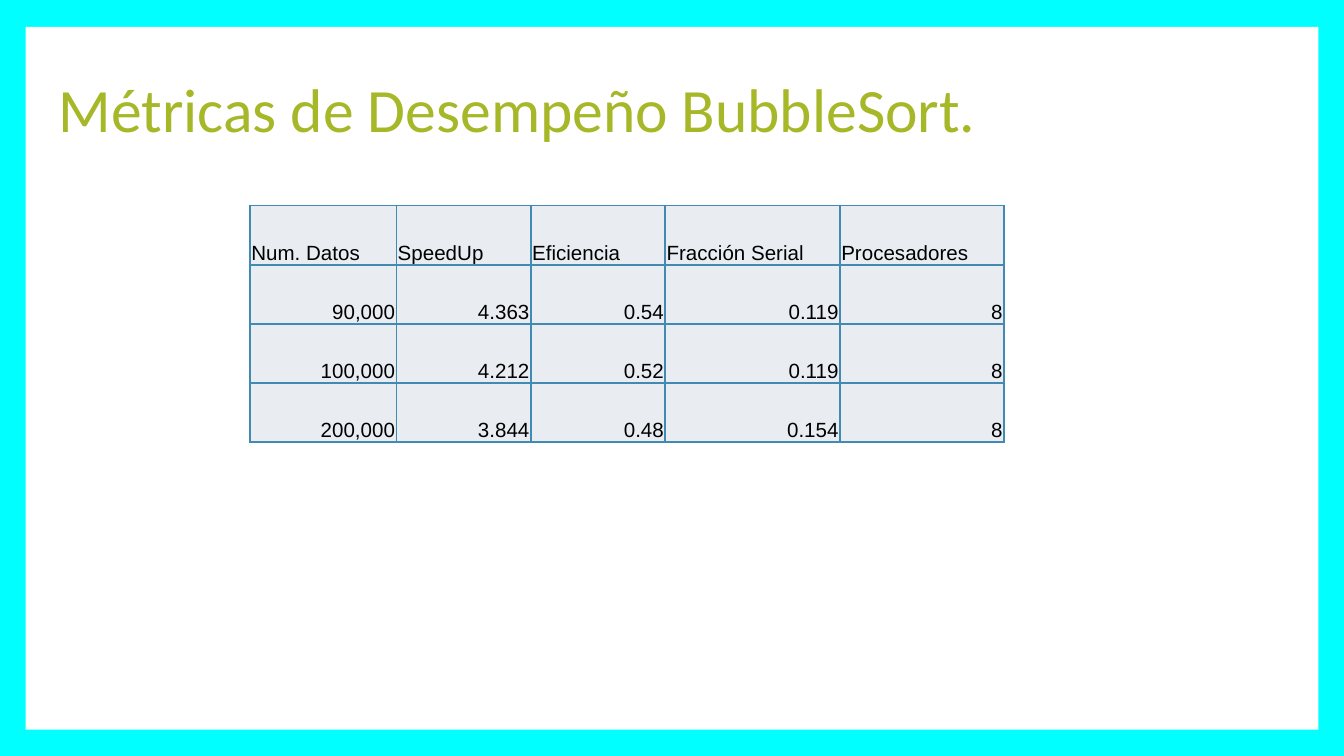
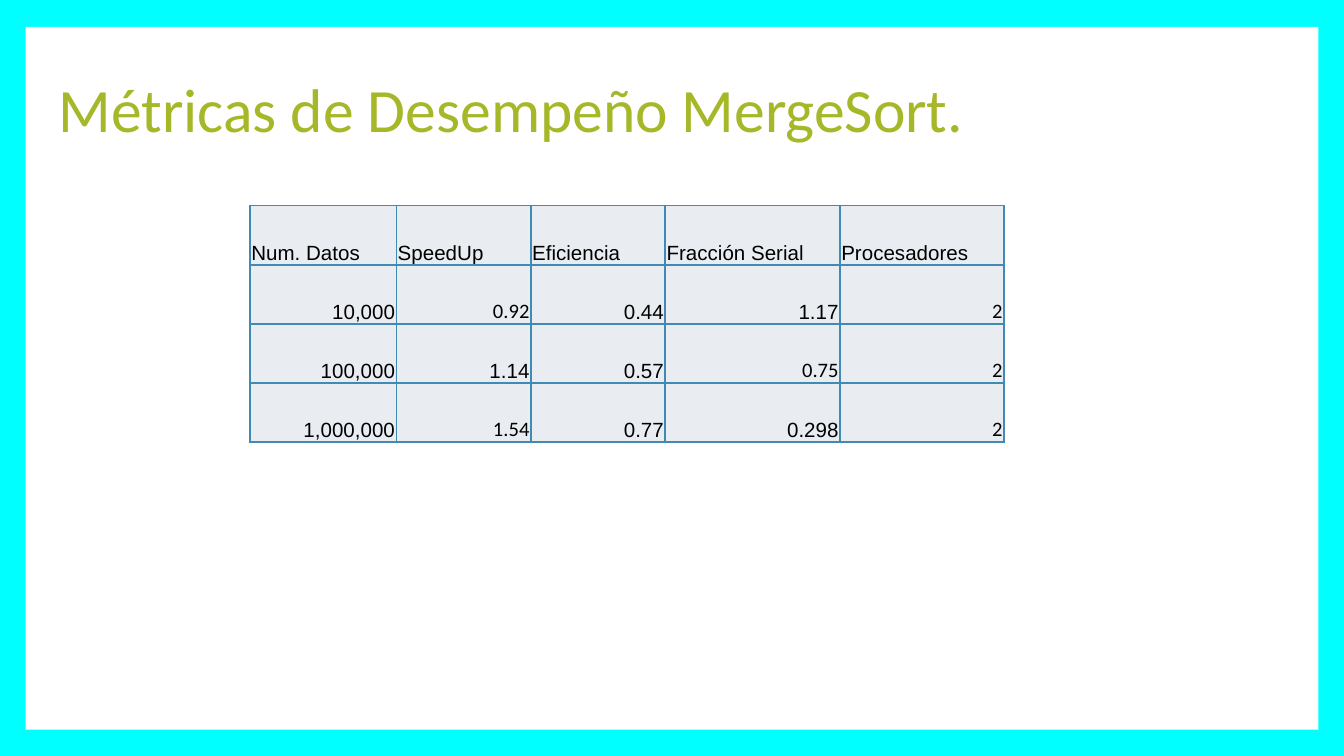
from lxml import etree
from pptx import Presentation
from pptx import util as u
from pptx.dml.color import RGBColor
from pptx.enum import shapes, text
from pptx.oxml import ns

CYAN = RGBColor(0x00, 0xFF, 0xFF)
WHITE = RGBColor(0xFF, 0xFF, 0xFF)
BLACK = RGBColor(0x00, 0x00, 0x00)
GREEN = RGBColor(0xA6, 0xB7, 0x27)
BLUE = RGBColor(0x41, 0x8A, 0xB3)
PALE = RGBColor(0xE9, 0xED, 0xF2)

HEADERS = ["Num. Datos", "SpeedUp", "Eficiencia", "Fracción Serial", "Procesadores"]
COLUMN_WIDTHS = [1.09, 1, 1, 1.3, 1.22]
ROW_HEIGHT = 0.44

# Each page: algorithm, measurements, and the (row, column) cells set in Calibri
PAGES = [
    ("BubbleSort",
     [["90,000", "4.363", "0.54", "0.119", "8"],
      ["100,000", "4.212", "0.52", "0.119", "8"],
      ["200,000", "3.844", "0.48", "0.154", "8"]],
     set()),
    ("MergeSort",
     [["10,000", "0.92", "0.44", "1.17", "2"],
      ["100,000", "1.14", "0.57", "0.75", "2"],
      ["1,000,000", "1.54", "0.77", "0.298", "2"]],
     {(1, 1), (1, 4), (2, 3), (2, 4), (3, 1), (3, 4)}),
]


def write(frame, words, size=11, font="Arial", color=BLACK,
          align=text.PP_ALIGN.LEFT, spacing=1.0):
    para = frame.paragraphs[0]
    para.alignment = align
    para.line_spacing = spacing
    span = para.add_run()
    span.text = words
    span.font.size = u.Pt(size)
    span.font.name = font
    span.font.bold = False
    span.font.color.rgb = color


def add_borders(cell, color, points):
    properties = cell._tc.get_or_add_tcPr()
    for position, side in enumerate(["lnL", "lnR", "lnT", "lnB"]):
        line = etree.Element(ns.qn("a:" + side), w=str(u.Pt(points)))
        fill = etree.SubElement(line, ns.qn("a:solidFill"))
        etree.SubElement(fill, ns.qn("a:srgbClr"), val=str(color))
        properties.insert(position, line)


# Widescreen deck, 16:9
deck = Presentation()
deck.slide_width = u.Inches(10)
deck.slide_height = u.Inches(10 * 9 / 16)

for algorithm, measurements, calibri_cells in PAGES:
    page = deck.slides.add_slide(deck.slide_layouts[6])

    # Cyan frame around a white panel
    page.background.fill.solid()
    page.background.fill.fore_color.rgb = CYAN
    panel = page.shapes.add_shape(shapes.MSO_SHAPE.RECTANGLE, u.Inches(0.19),
                                  u.Inches(0.2), u.Inches(9.62), u.Inches(5.23))
    panel.shadow.inherit = False
    panel.fill.solid()
    panel.fill.fore_color.rgb = WHITE
    panel.line.fill.background()

    # Title
    box = page.shapes.add_textbox(u.Inches(0.34), u.Inches(0.49),
                                  u.Inches(9.32), u.Inches(0.63))
    frame = box.text_frame
    frame.word_wrap = True
    frame.vertical_anchor = text.MSO_ANCHOR.TOP
    frame.margin_left = frame.margin_right = u.Inches(0.1)
    frame.margin_top = frame.margin_bottom = u.Inches(0.1)
    write(frame, f"Métricas de Desempeño {algorithm}.", size=33,
          font="Calibri", color=GREEN, spacing=0.9)

    # Metrics table
    rows = [HEADERS] + measurements
    table = page.shapes.add_table(
        len(rows), len(HEADERS), u.Inches(1.86), u.Inches(1.53),
        u.Inches(sum(COLUMN_WIDTHS)), u.Inches(ROW_HEIGHT * len(rows))).table
    table.first_row = False
    table.horz_banding = False
    for column, width in zip(table.columns, COLUMN_WIDTHS):
        column.width = u.Inches(width)

    for r, values in enumerate(rows):
        table.rows[r].height = u.Inches(ROW_HEIGHT)
        for c, value in enumerate(values):
            cell = table.cell(r, c)
            cell.fill.solid()
            cell.fill.fore_color.rgb = PALE
            cell.vertical_anchor = text.MSO_ANCHOR.BOTTOM
            cell.margin_left = cell.margin_right = cell.margin_top = u.Inches(0.01)
            cell.margin_bottom = 0
            write(cell.text_frame, value,
                  font="Calibri" if (r, c) in calibri_cells else "Arial",
                  align=text.PP_ALIGN.RIGHT if r else text.PP_ALIGN.LEFT)
            add_borders(cell, BLUE, 1)

deck.save("out.pptx")
